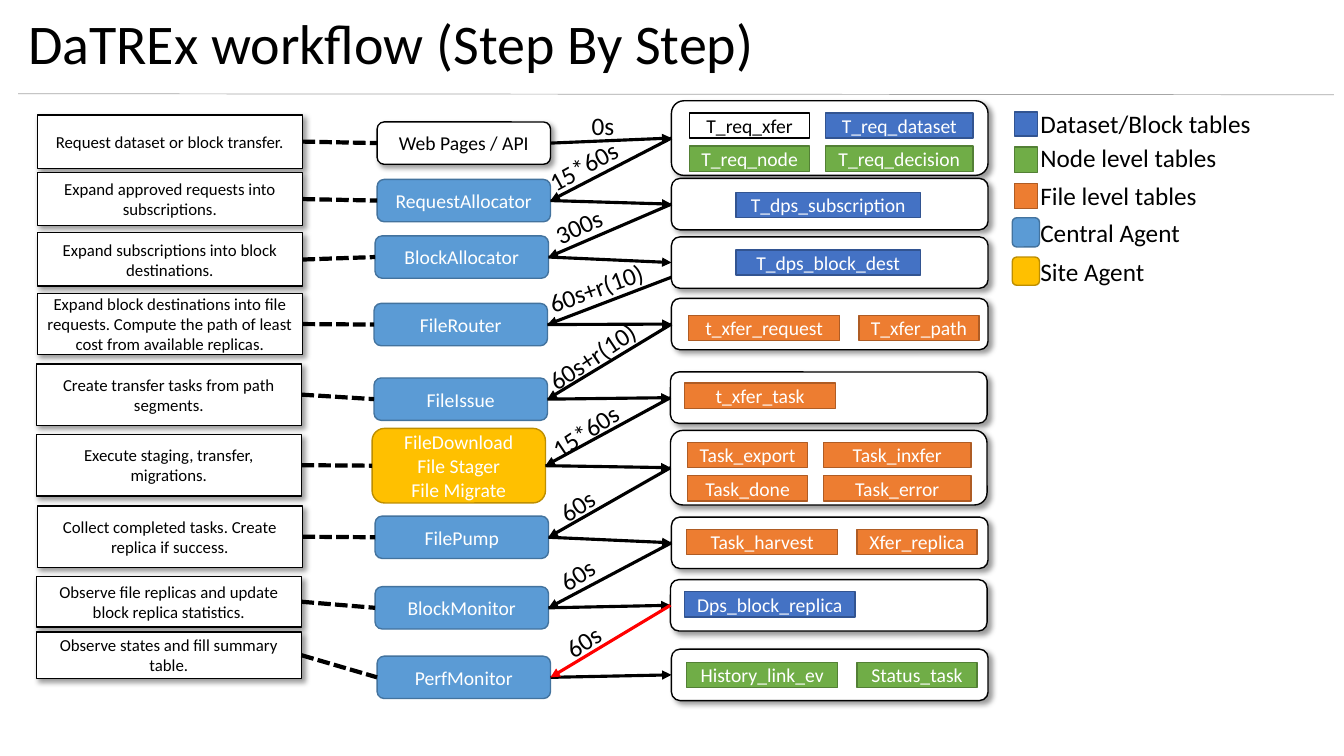
from dataclasses import dataclass

from lxml import etree
from pptx import Presentation
from pptx.dml.color import RGBColor
from pptx.enum.dml import MSO_LINE
from pptx.enum.shapes import MSO_CONNECTOR, MSO_SHAPE
from pptx.enum.text import MSO_ANCHOR, MSO_AUTO_SIZE, PP_ALIGN
from pptx.oxml.ns import qn
from pptx.util import Pt

PX = 9144
RECT, ROUND = MSO_SHAPE.RECTANGLE, MSO_SHAPE.ROUNDED_RECTANGLE
STRAIGHT, DASH = MSO_CONNECTOR.STRAIGHT, MSO_LINE.SQUARE_DOT
MIDDLE, CENTER = MSO_ANCHOR.MIDDLE, PP_ALIGN.CENTER
FIT_TEXT = MSO_AUTO_SIZE.SHAPE_TO_FIT_TEXT
LEFT_SIDE, RIGHT_SIDE = 1, 3

BLACK = RGBColor(0x00, 0x00, 0x00)
WHITE = RGBColor(0xFF, 0xFF, 0xFF)
GRAY = RGBColor(0xA6, 0xA6, 0xA6)
RED = RGBColor(0xFF, 0x00, 0x00)
PLAIN = (WHITE, BLACK, BLACK)
BLOCK = (RGBColor(0x44, 0x72, 0xC4), RGBColor(0x32, 0x54, 0x91), WHITE)
NODE = (RGBColor(0x70, 0xAD, 0x47), RGBColor(0x53, 0x80, 0x35), WHITE)
FILE = (RGBColor(0xED, 0x7D, 0x31), RGBColor(0xAF, 0x5C, 0x24), WHITE)
CENTRAL = (RGBColor(0x5B, 0x9B, 0xD5), RGBColor(0x43, 0x73, 0x9E), WHITE)
SITE = (RGBColor(0xFF, 0xC0, 0x00), RGBColor(0xBD, 0x8E, 0x00), WHITE)


@dataclass
class Step:
    box: tuple
    description: str
    agent: str
    agent_box: tuple
    agent_style: tuple
    store_box: tuple
    tables_at: tuple
    tables: list
    wait: str
    wait_box: tuple
    wait_angle: float
    return_color: RGBColor = BLACK
    return_start: tuple = ()


STEPS = [
    Step((37, 114, 263, 53), "Request dataset or block transfer.",
         "Web Pages / API", (337, 7, 172, 42), PLAIN, (629, -14, 314, 74), (18, 12),
         [[("T_req_xfer", 119, PLAIN), ("T_req_dataset", 146, BLOCK)],
          [("T_req_node", 119, NODE), ("T_req_decision", 146, NODE)]],
         "0s", (540, -9, 43, 40), 0),
    Step((37, 171, 263, 53), "Expand approved requests into subscriptions.",
         "RequestAllocator", (337, 7, 172, 42), CENTRAL, (629, 6, 314, 51), (64, 14),
         [[("T_dps_subscription", 183, BLOCK)]],
         "15*60s", (495, -27, 94, 40), 331.1),
    Step((37, 231, 263, 53), "Expand subscriptions into block destinations.",
         "BlockAllocator", (335, 3, 172, 42), CENTRAL, (629, 4, 314, 51), (64, 13),
         [[("T_dps_block_dest", 183, BLOCK)]],
         "300s", (503, -27, 68, 40), 335.3),
    Step((37, 291, 263, 61), "Expand block destinations into file requests. "
         "Compute the path of least cost from available replicas.",
         "FileRouter", (334, 10, 172, 42), CENTRAL, (629, 5, 314, 51), (17, 17),
         [[("t_xfer_request", 150, FILE), ("T_xfer_path", 119, FILE)]],
         "60s+r(10)", (496, -26, 118, 40), 340.3, return_start=(629, -16)),
    Step((36, 361, 263, 61), "Create transfer tasks from path segments.",
         "FileIssue", (335, 14, 172, 42), CENTRAL, (629, 8, 314, 51), (14, 11),
         [[("t_xfer_task", 150, FILE)]],
         "60s+r(10)", (493, -28, 118, 40), 326.4),
    Step((36, 431, 263, 61), "Execute staging, transfer, migrations.",
         "FileDownload\nFile Stager\nFile Migrate", (333, -6, 172, 74), SITE,
         (629, -4, 314, 74), (17, 12),
         [[("Task_export", 119, FILE), ("Task_inxfer", 146, FILE)],
          [("Task_done", 119, FILE), ("Task_error", 146, FILE)]],
         "15*60s", (498, -24, 94, 40), 326.4),
    Step((37, 502, 263, 61), "Collect completed tasks. Create replica if success.",
         "FilePump", (335, 10, 172, 42), CENTRAL, (629, 11, 314, 51), (15, 12),
         [[("Task_harvest", 150, FILE), ("Xfer_replica", 119, FILE)]],
         "60s", (508, -21, 56, 40), 326.4),
    Step((36, 572, 263, 50), "Observe file replicas and update block replica statistics.",
         "BlockMonitor", (336, 10, 172, 42), CENTRAL, (629, 3, 314, 51), (14, 12),
         [[("Dps_block_replica", 169, BLOCK)]],
         "60s", (509, -22, 56, 40), 326.4),
    Step((36, 627, 263, 46), "Observe states and fill summary table.",
         "PerfMonitor", (338, 24, 172, 42), CENTRAL, (630, 17, 314, 51), (15, 13),
         [[("History_link_ev", 150, NODE), ("Status_task", 119, NODE)]],
         "60s", (515, -11, 56, 40), 326.4, return_color=RED),
]

LEGEND = [
    ("Dataset/Block tables", 231, 0, RECT, (2, 8, 23, 24), BLOCK),
    ("Node level tables", 197, 33, RECT, (2, 43, 23, 25), NODE),
    ("File level tables", 177, 71, RECT, (2, 79, 23, 25), FILE),
    ("Central Agent", 160, 108, ROUND, (0, 113, 27, 29), CENTRAL),
    ("Site Agent", 124, 146, ROUND, (0, 152, 27, 28), SITE),
]


def emu(box):
    return [value * PX for value in box]


def within(origin, box):
    return (origin[0] + box[0], origin[1] + box[1], *box[2:])


def set_text(shape, text, size, color):
    shape.text_frame.text = text
    for paragraph in shape.text_frame.paragraphs:
        paragraph.font.name = "Calibri"
        paragraph.font.size = Pt(size)
        paragraph.font.color.rgb = color


def add_box(slide, kind, box, style, text="", size=14, shadow=False):
    fill, line, font_color = style
    shape = slide.shapes.add_shape(kind, *emu(box))
    shape.shadow.inherit = False
    shape.fill.solid()
    shape.fill.fore_color.rgb = fill
    shape.line.color.rgb = line
    shape.line.width = Pt(1)
    if text:
        set_text(shape, text, size, font_color)
        shape.text_frame.vertical_anchor = MIDDLE
        for paragraph in shape.text_frame.paragraphs:
            paragraph.alignment = CENTER
    if shadow:
        effects = shape._element.spPr.find(qn("a:effectLst"))
        outer = etree.SubElement(effects, qn("a:outerShdw"), blurRad=str(Pt(4)),
                                 dist=str(Pt(3)), dir="2700000", algn="tl", rotWithShape="0")
        color = etree.SubElement(outer, qn("a:srgbClr"), val=str(BLACK))
        etree.SubElement(color, qn("a:alpha"), val="40000")
    return shape


def add_label(slide, box, text, angle=0):
    label = slide.shapes.add_textbox(*emu(box))
    label.rotation = angle
    set_text(label, text, 18, BLACK)
    label.text_frame.word_wrap = False
    label.text_frame.auto_size = FIT_TEXT


def add_line(slide, start, end, color, width):
    connector = slide.shapes.add_connector(STRAIGHT, *emu(start + end))
    connector.line.color.rgb = color
    connector.line.width = Pt(width)
    etree.SubElement(connector._element.spPr, qn("a:effectLst"))
    return connector


def join(slide, source, source_side, target, target_side, color=BLACK, width=2.25, start=()):
    connector = add_line(slide, start or (0, 0), (0, 0), color, width)
    if not start:
        connector.begin_connect(source, source_side)
    connector.end_connect(target, target_side)
    return connector


def add_arrow(*ends, **options):
    line = join(*ends, **options).line._get_or_add_ln()
    etree.SubElement(line, qn("a:tailEnd"), type="triangle")


def add_title(slide, box, text):
    title = slide.shapes.add_textbox(*emu(box))
    set_text(title, text, 40, BLACK)
    title.text_frame.word_wrap = True
    title.text_frame.vertical_anchor = MIDDLE
    title.text_frame.paragraphs[0].line_spacing = 0.9
    left, top, _, height = box
    add_line(slide, (left, top + height), (left + 1305, top + height + 1), GRAY, 0.5)


def add_tables(slide, box, rows):
    gap = 16 if len(rows) > 1 else 19
    for index, row in enumerate(rows):
        left = box[0]
        for name, width, style in row:
            add_box(slide, RECT, (left, box[1] + 33 * index, width, 25), style, name)
            left += width + gap


def add_step(slide, step, previous_store):
    description = add_box(slide, RECT, step.box, PLAIN, step.description, 12, shadow=True)
    agent = add_box(slide, ROUND, within(step.box, step.agent_box), step.agent_style,
                    step.agent, shadow=step.agent_style == PLAIN)
    store_box = within(step.box, step.store_box)
    store = add_box(slide, ROUND, store_box, PLAIN, shadow=True)
    add_tables(slide, within(store_box, step.tables_at), step.tables)
    dashed = join(slide, description, RIGHT_SIDE, agent, LEFT_SIDE, width=3)
    dashed.line.dash_style = DASH
    add_arrow(slide, agent, RIGHT_SIDE, store, LEFT_SIDE)
    if previous_store is not None:
        start = within(step.box, step.return_start) if step.return_start else ()
        add_arrow(slide, previous_store, LEFT_SIDE, agent, RIGHT_SIDE,
                  color=step.return_color, start=start)
    add_label(slide, within(step.box, step.wait_box), step.wait, step.wait_angle)
    return store


def add_legend(slide, origin):
    for text, width, top, kind, swatch, style in LEGEND:
        add_box(slide, kind, within(origin, swatch), style)
        add_label(slide, within(origin, (18, top, width, 40)), text)


def main():
    presentation = Presentation()
    presentation.slide_width, presentation.slide_height = emu((1333, 750))
    slide = presentation.slides.add_slide(presentation.slide_layouts[6])
    add_title(slide, (18, -1, 985, 94), "DaTREx workflow (Step By Step)")
    store = None
    for step in STEPS:
        store = add_step(slide, step, store)
    add_legend(slide, (1004, 103))
    presentation.save("out.pptx")


if __name__ == "__main__":
    main()
